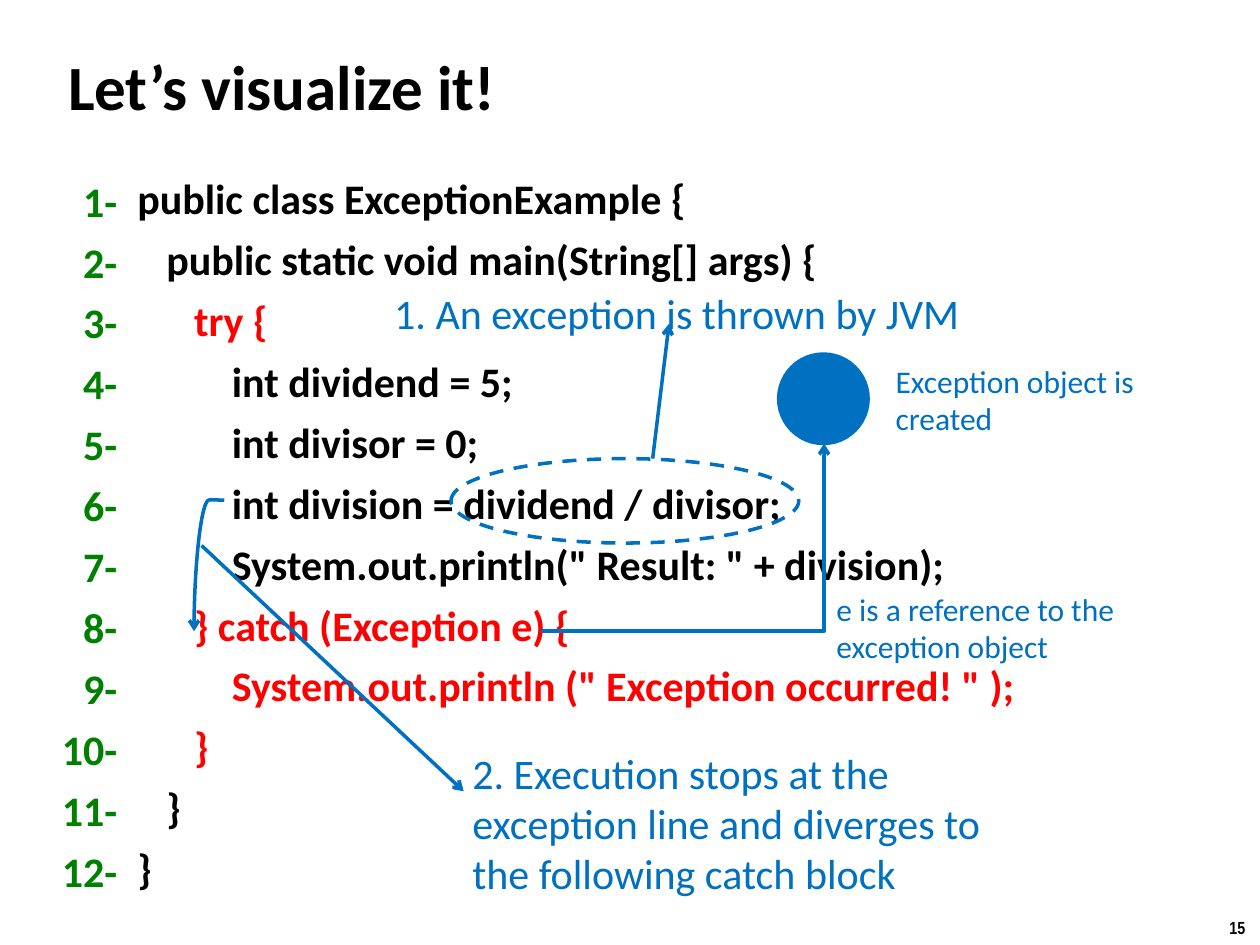
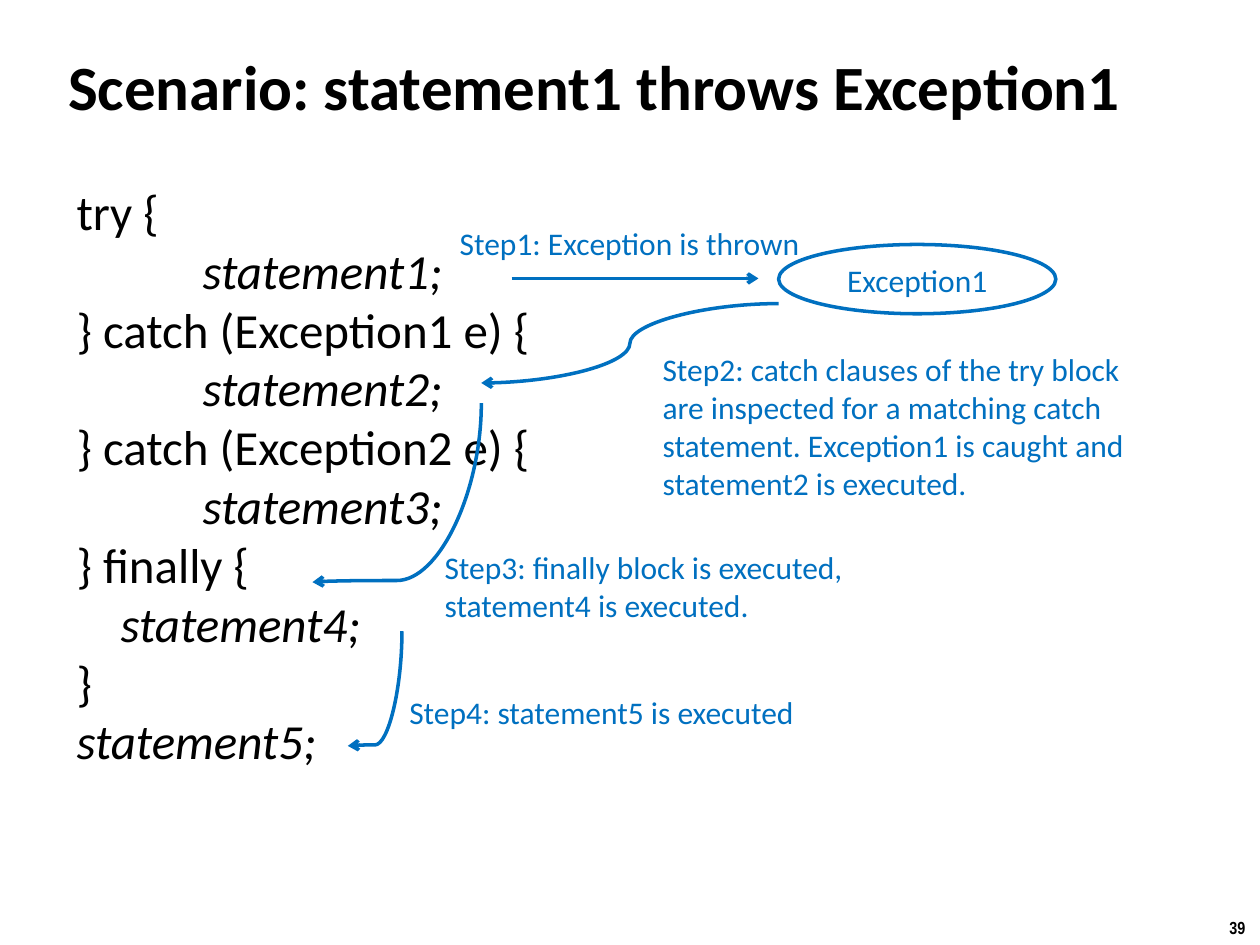
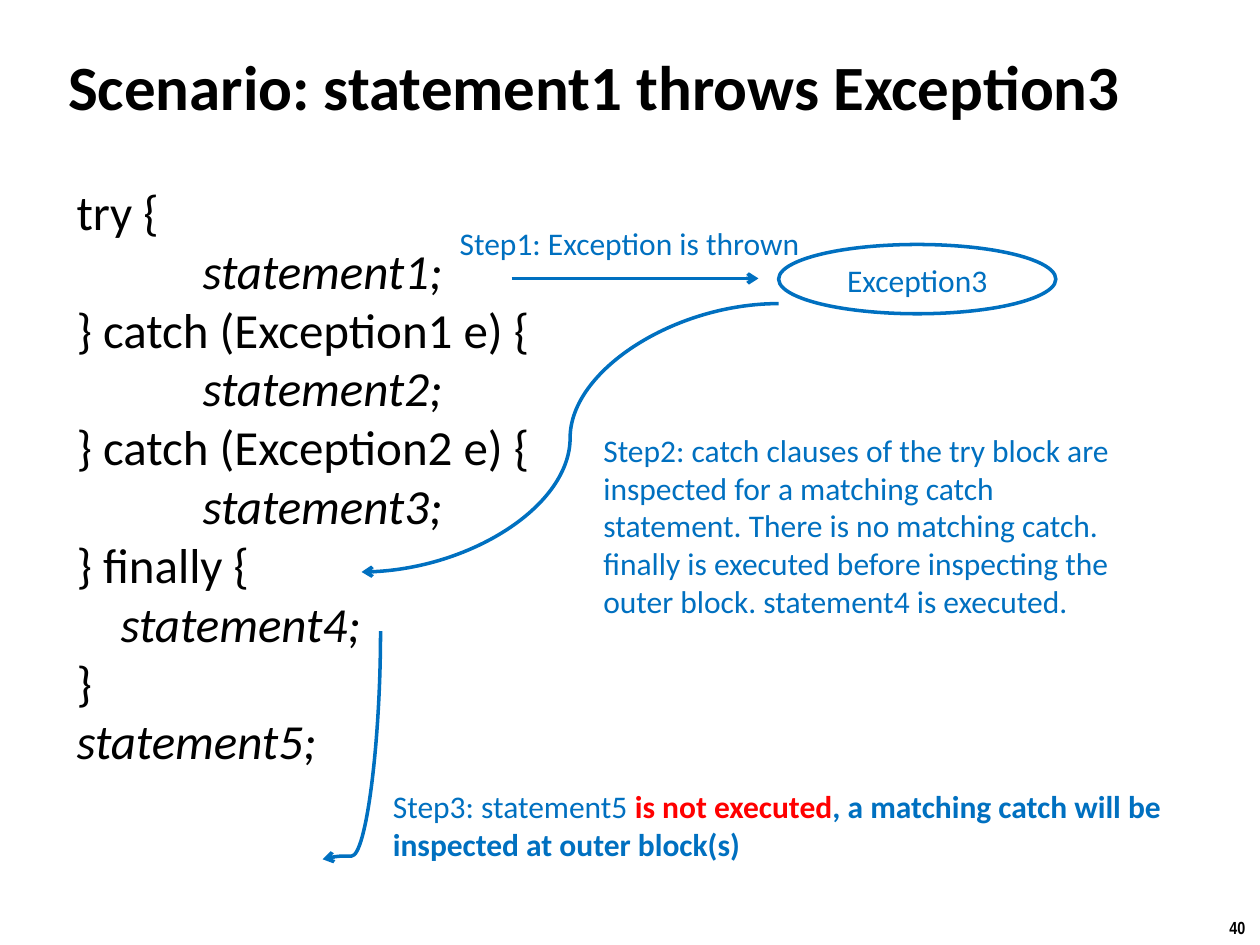
from dataclasses import dataclass
from typing import Optional

from lxml.etree import SubElement
from pptx import Presentation
from pptx.dml.color import RGBColor
from pptx.enum.dml import MSO_LINE
from pptx.enum.shapes import MSO_CONNECTOR, MSO_SHAPE
from pptx.enum.text import MSO_ANCHOR, MSO_AUTO_SIZE, PP_ALIGN
from pptx.oxml.ns import qn
from pptx.util import Pt

# Shared style: 100 px to the inch
PX = 9144
BLACK = RGBColor(0x00, 0x00, 0x00)
BLUE = RGBColor(0x00, 0x70, 0xC0)
RED = RGBColor(0xFF, 0x00, 0x00)
GREEN = RGBColor(0x00, 0x80, 0x00)
FONT = "Calibri"
NUMBER_FONT = "Arial Narrow"
TITLE_ONLY = 5
INSET = 4
LINE_WIDTH = Pt(2)


@dataclass(frozen=True)
class Box:
    x: int
    y: int
    w: int
    h: int

    def emu(self) -> tuple[int, int, int, int]:
        return self.x * PX, self.y * PX, self.w * PX, self.h * PX


@dataclass(frozen=True)
class CodeLine:
    text: str
    indent: int = 0
    color: RGBColor = BLACK
    italic: bool = False


@dataclass(frozen=True)
class Note:
    text: str
    box: Box
    size: int = 18
    wrap: bool = True


@dataclass(frozen=True)
class Arrow:
    x1: int
    y1: int
    x2: int
    y2: int
    kind: MSO_CONNECTOR = MSO_CONNECTOR.STRAIGHT
    down: bool = False  # leaves its start vertically
    bend: Optional[int] = None  # in 1/100000 of the length
    preset: Optional[str] = None


# Text
def write(p, text: str, *, size: int = 18, color: RGBColor = BLUE,
          bold: bool = False, italic: bool = False, font: str = FONT):
    r = p.add_run()
    r.text = text
    r.font.name, r.font.size = font, Pt(size)
    r.font.bold, r.font.italic = bold, italic
    r.font.color.rgb = color
    return r


def set_inset(tf, inset: int) -> None:
    tf.margin_left = tf.margin_right = inset * PX
    tf.margin_top = tf.margin_bottom = inset * PX


def add_text_box(s, box: Box, wrap: bool = True, grow: bool = True):
    tf = s.shapes.add_textbox(*box.emu()).text_frame
    tf.word_wrap = wrap
    tf.auto_size = MSO_AUTO_SIZE.SHAPE_TO_FIT_TEXT if grow else MSO_AUTO_SIZE.NONE
    return tf


def add_note(s, note: Note) -> None:
    tf = add_text_box(s, note.box, note.wrap)
    write(tf.paragraphs[0], note.text, size=note.size)


def write_code(tf, lines: list[CodeLine], *, size: int, bold: bool = False,
               space: int = 0, align: PP_ALIGN = PP_ALIGN.LEFT) -> None:
    for i, line in enumerate(lines):
        p = tf.add_paragraph() if i else tf.paragraphs[0]
        p.alignment, p.space_before = align, Pt(space)
        if line.indent:
            pPr = p._p.get_or_add_pPr()
            pPr.set("marL", str(line.indent * PX))
            pPr.set("indent", "0")
        write(p, line.text, size=size, color=line.color, bold=bold, italic=line.italic)


# Shapes
def add_ellipse(s, box: Box, *, filled: bool = False, dashed: bool = False):
    sp = s.shapes.add_shape(MSO_SHAPE.OVAL, *box.emu())
    sp.shadow.inherit = False
    if filled:
        sp.fill.solid()
        sp.fill.fore_color.rgb = BLUE
    else:
        sp.fill.background()
    sp.line.color.rgb, sp.line.width = BLUE, LINE_WIDTH
    if dashed:
        sp.line.dash_style = MSO_LINE.DASH
    return sp


def add_arrow(s, a: Arrow) -> None:
    x1, y1, x2, y2 = (v * PX for v in (a.x1, a.y1, a.x2, a.y2))
    if a.down:  # lay the connector flat around its centre, then turn it by 90°
        cx, cy = (x1 + x2) // 2, (y1 + y2) // 2
        half_w, half_h = abs(y2 - y1) // 2, abs(x2 - x1) // 2
        x1, y1, x2, y2 = cx - half_w, cy - half_h, cx + half_w, cy + half_h
    c = s.shapes.add_connector(a.kind, x1, y1, x2, y2)
    c.line.color.rgb, c.line.width = BLUE, LINE_WIDTH
    spPr = c._element.spPr
    if a.down:
        spPr.find(qn("a:xfrm")).set("rot", str(90 * 60000))
    geom = spPr.find(qn("a:prstGeom"))
    if a.preset:
        geom.set("prst", a.preset)
    if a.bend is not None:
        guides = geom.find(qn("a:avLst"))
        if guides is None:
            guides = SubElement(geom, qn("a:avLst"))
        SubElement(guides, qn("a:gd"), name="adj1", fmla=f"val {a.bend}")
    SubElement(spPr.find(qn("a:ln")), qn("a:tailEnd"), type="arrow")
    SubElement(spPr, qn("a:effectLst"))


# Slide frame
def add_slide(prs, title: str, number: int):
    s = prs.slides.add_slide(prs.slide_layouts[TITLE_ONLY])
    sp = s.shapes.title
    sp.left, sp.top, sp.width, sp.height = Box(50, 8, 908, 119).emu()
    tf = sp.text_frame
    tf.auto_size = MSO_AUTO_SIZE.NONE
    tf.vertical_anchor = MSO_ANCHOR.MIDDLE
    set_inset(tf, INSET)
    p = tf.paragraphs[0]
    p.alignment = PP_ALIGN.LEFT
    write(p, title, size=36, color=BLACK, bold=True)
    tf = add_text_box(s, Box(966, 723, 34, 27), wrap=False)
    write(tf.paragraphs[0], str(number), size=10, color=BLACK, bold=True, font=NUMBER_FONT)
    return s


# Code walk-through
EXAMPLE_CODE = [
    CodeLine("public class ExceptionExample {"),
    CodeLine("public static void main(String[] args) {", 23),
    CodeLine("try {", 45, RED),
    CodeLine("int dividend = 5;", 75),
    CodeLine("int divisor = 0;", 75),
    CodeLine("int division = dividend / divisor;", 75),
    CodeLine('System.out.println(" Result: " + division);', 75),
    CodeLine("} catch (Exception e) {", 45, RED),
    CodeLine('System.out.println (" Exception occurred! " );', 75, RED),
    CodeLine("}", 45, RED),
    CodeLine("}", 23),
    CodeLine("}"),
]


def add_visualization(prs) -> None:
    s = add_slide(prs, "Let’s visualize it!", 15)
    numbers = [CodeLine(f"{i}-", color=GREEN) for i in range(1, len(EXAMPLE_CODE) + 1)]
    for box, lines, align in (
        (Box(105, 133, 852, 594), EXAMPLE_CODE, PP_ALIGN.LEFT),
        (Box(42, 135, 55, 594), numbers, PP_ALIGN.RIGHT),
    ):
        tf = add_text_box(s, box, grow=False)
        set_inset(tf, INSET)
        write_code(tf, lines, size=24, bold=True, space=6, align=align)

    add_ellipse(s, Box(358, 364, 276, 67), dashed=True)
    add_ellipse(s, Box(618, 281, 71, 71), filled=True)
    for note in (
        Note("1. An exception is thrown by JVM", Box(303, 223, 488, 50), 24),
        Note("Exception object is created", Box(701, 282, 213, 71)),
        Note("2. Execution stops at the exception line and diverges to the "
             "following catch block", Box(365, 588, 465, 131), 24),
        Note("e is a reference to the exception object", Box(654, 463, 311, 71)),
    ):
        add_note(s, note)
    for arrow in (
        Arrow(518, 364, 531, 257),
        Arrow(178, 397, 154, 501, MSO_CONNECTOR.CURVE, down=True, bend=-200),
        Arrow(160, 433, 368, 628),
        Arrow(429, 501, 654, 352, MSO_CONNECTOR.ELBOW, preset="bentConnector2"),
    ):
        add_arrow(s, arrow)


# Scenarios
SCENARIO_CODE = [
    CodeLine("try {"),
    CodeLine("statement1;", 100, italic=True),
    CodeLine("} catch (Exception1 e) {"),
    CodeLine("statement2;", 100, italic=True),
    CodeLine("} catch (Exception2 e) {"),
    CodeLine("statement3;", 100, italic=True),
    CodeLine("} finally {"),
    CodeLine("statement4;", 35, italic=True),
    CodeLine("}"),
    CodeLine("statement5;", italic=True),
]


def add_scenario(prs, thrown: str, number: int, notes: list[Note], arrows: list[Arrow]):
    s = add_slide(prs, f"Scenario: statement1 throws {thrown}", number)
    write_code(add_text_box(s, Box(51, 139, 394, 481)), SCENARIO_CODE, size=28)
    tf = add_ellipse(s, Box(618, 194, 220, 55)).text_frame
    tf.vertical_anchor = MSO_ANCHOR.TOP
    p = tf.paragraphs[0]
    p.alignment = PP_ALIGN.CENTER
    write(p, thrown)
    step1 = Note("Step1: Exception is thrown", Box(355, 173, 298, 40), wrap=False)
    for note in [step1, *notes]:
        add_note(s, note)
    for arrow in [Arrow(406, 221, 602, 221), *arrows]:
        add_arrow(s, arrow)
    return s


def add_caught_scenario(prs) -> None:
    add_scenario(prs, "Exception1", 39, [
        Note("Step2: catch clauses of the try block are inspected for a matching catch "
             "statement. Exception1 is caught and statement2 is executed.",
             Box(516, 273, 409, 131)),
        Note("Step3: finally block is executed, statement4 is executed.",
             Box(343, 430, 409, 71)),
        Note("Step4: statement5 is executed", Box(315, 545, 334, 40), wrap=False),
    ], [
        Arrow(618, 241, 382, 304, MSO_CONNECTOR.CURVE, bend=50000),
        Arrow(382, 320, 248, 462, MSO_CONNECTOR.CURVE, down=True, bend=99100),
        Arrow(319, 501, 276, 592, MSO_CONNECTOR.CURVE, down=True, bend=99200),
    ])


def add_uncaught_scenario(prs) -> None:
    s = add_scenario(prs, "Exception3", 40, [
        Note("Step2: catch clauses of the try block are inspected for a matching catch "
             "statement. There is no matching catch. finally is executed before "
             "inspecting the outer block. statement4 is executed.",
             Box(469, 337, 441, 162)),
    ], [
        Arrow(618, 241, 287, 454, MSO_CONNECTOR.CURVE, bend=50000),
        Arrow(302, 501, 256, 682, MSO_CONNECTOR.CURVE, down=True, bend=98600),
    ])
    tf = add_text_box(s, Box(302, 620, 644, 71), wrap=False)
    p = tf.paragraphs[0]
    write(p, "Step3: statement5 ")
    write(p, "is not executed", color=RED, bold=True)
    write(p, ", a matching catch will be", bold=True)
    write(tf.add_paragraph(), "inspected at outer block(s)", bold=True)


def main() -> None:
    prs = Presentation()
    prs.slide_width, prs.slide_height = 1000 * PX, 750 * PX
    add_visualization(prs)
    add_caught_scenario(prs)
    add_uncaught_scenario(prs)
    prs.save("out.pptx")


if __name__ == "__main__":
    main()
